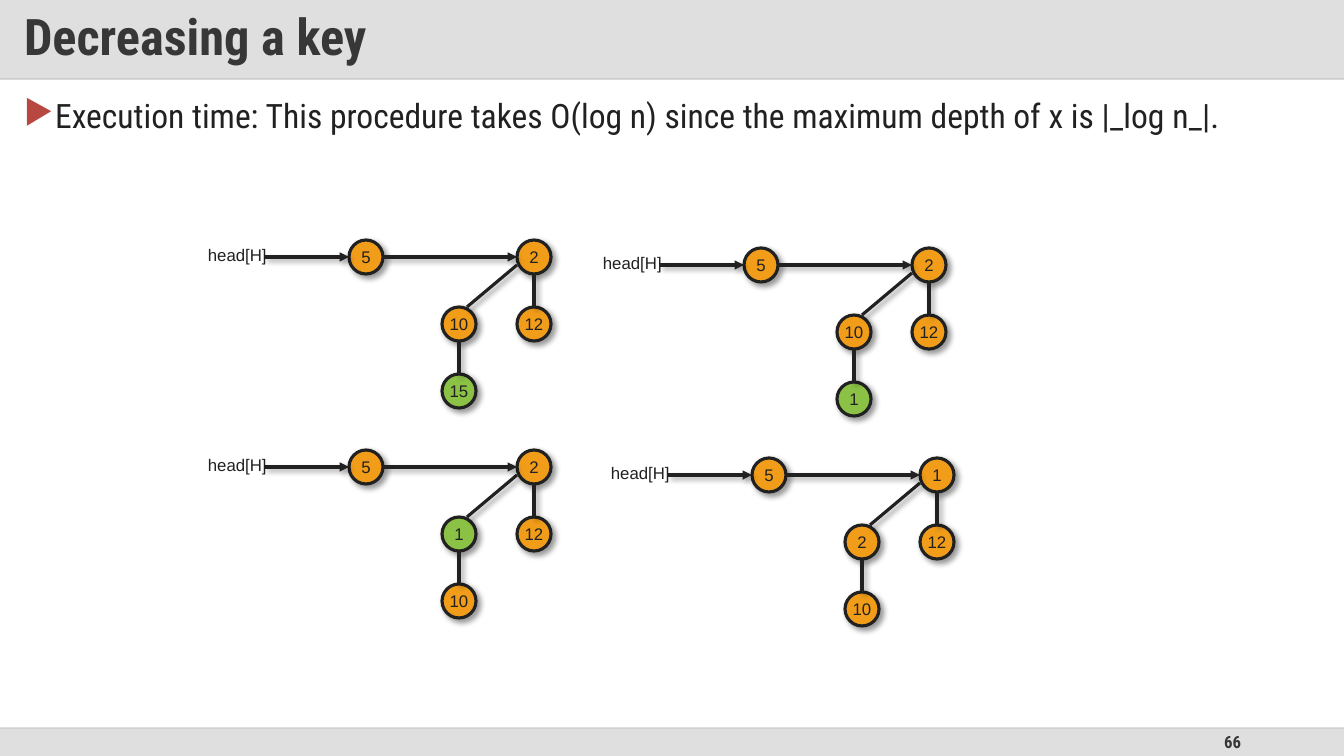
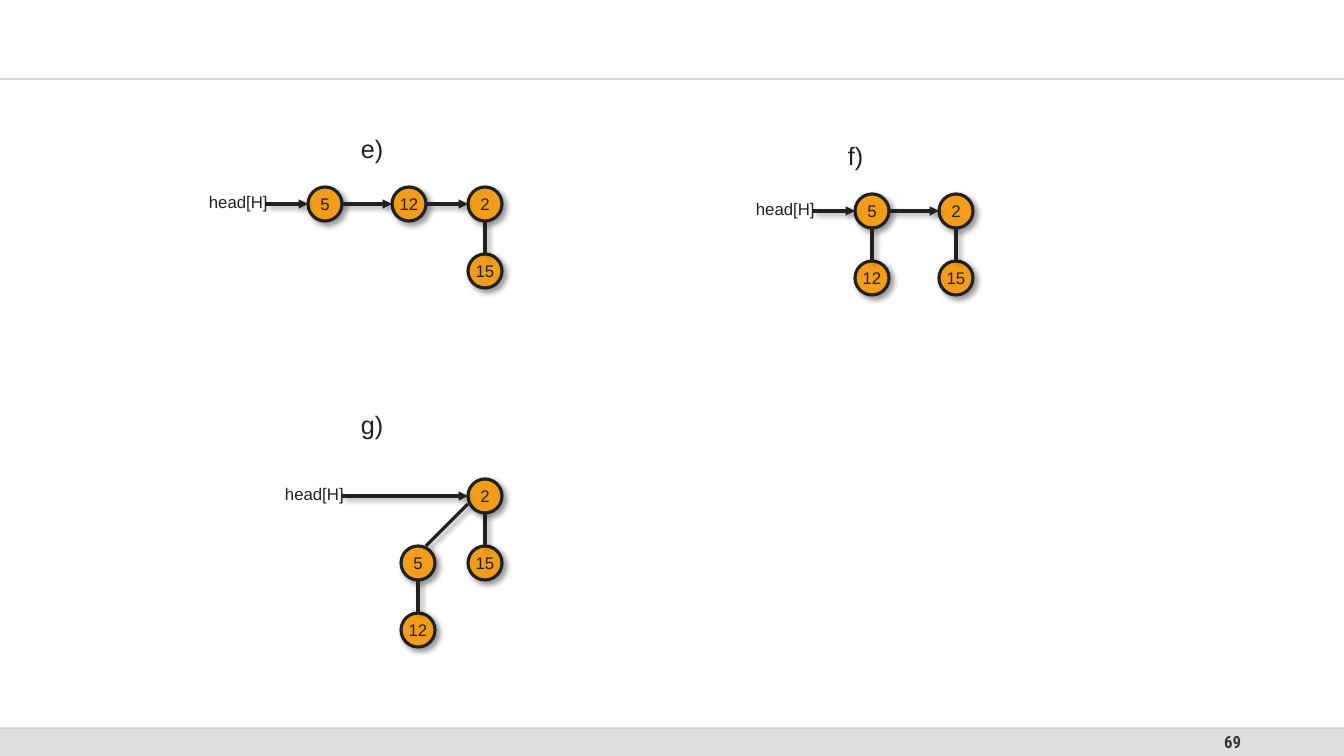
from dataclasses import dataclass

from lxml import etree
from pptx import Presentation
from pptx.dml.color import RGBColor
from pptx.enum.shapes import MSO_CONNECTOR, MSO_SHAPE
from pptx.enum.text import MSO_ANCHOR, PP_ALIGN
from pptx.oxml.ns import qn
from pptx.util import Emu, Pt

RECTANGLE, ELLIPSE = MSO_SHAPE.RECTANGLE, MSO_SHAPE.OVAL
STRAIGHT = MSO_CONNECTOR.STRAIGHT
MIDDLE, TOP = MSO_ANCHOR.MIDDLE, MSO_ANCHOR.TOP
LEFT, CENTER, RIGHT, JUSTIFY = PP_ALIGN.LEFT, PP_ALIGN.CENTER, PP_ALIGN.RIGHT, PP_ALIGN.JUSTIFY

EMU_PER_PX = 914400 / 100.8
PAGE_WIDTH, PAGE_HEIGHT = 1344, 756
TITLE_BOTTOM, FOOTER_TOP = 79, 728
NODE_SIZE, RADIUS = 34, 17
ROW_STEP = 67
HEAD_ARROW_START = 67
EDGE_OFFSET = 8


@dataclass(frozen=True)
class Theme:
    heading_font: str = "Roboto Condensed"
    diagram_font: str = "Arial"
    heading: str = "373737"
    ink: str = "212121"
    title_band: str = "C0C0C0"
    footer_band: str = "DFDFDF"
    title_rule: str = "D9D9D9"
    footer_rule: str = "BFBFBF"
    bullet: str = "B84742"
    node: str = "F19D19"
    marked_node: str = "8BC145"
    shadow: str = "000000"
    title_size: int = 36
    body_size: int = 24
    caption_size: int = 18
    small_size: int = 12
    rule_width: float = 1
    edge_width: float = 2.25


THEME = Theme()


@dataclass(frozen=True)
class Node:
    """A key; dx is measured from the head label for a root, else from the parent."""
    key: str
    dx: int = 0
    children: tuple = ()
    marked: bool = False


def px(value):
    return Emu(round(value * EMU_PER_PX))


def add_xml(parent, tag, **attributes):
    return etree.SubElement(parent, qn(tag), attributes)


def set_alpha(element, percent):
    """Make the first colour inside the element partly transparent."""
    add_xml(next(element.iter(qn("a:srgbClr"))), "a:alpha", val=str(percent * 1000))


def add_shadow(shape):
    effects = shape._element.spPr.find(qn("a:effectLst"))
    shadow = add_xml(effects, "a:outerShdw", blurRad=str(Pt(4)), dist=str(Pt(3)),
                     dir=str(45 * 60000), algn="tl", rotWithShape="0")
    add_xml(shadow, "a:srgbClr", val=THEME.shadow)
    set_alpha(shadow, 40)


def add_line(page, start, end, color, width):
    line = page.shapes.add_connector(STRAIGHT, *map(px, (*start, *end)))
    line.line.color.rgb = RGBColor.from_string(color)
    line.line.width = Pt(width)
    add_xml(line._element.spPr, "a:effectLst")
    return line


def add_edge(page, start, end, arrow=False):
    edge = add_line(page, start, end, THEME.ink, THEME.edge_width)
    add_shadow(edge)
    if arrow:
        add_xml(edge.line._get_or_add_ln(), "a:tailEnd", type="triangle")


def add_filled(page, kind, area, color):
    shape = page.shapes.add_shape(kind, *map(px, area))
    shape.shadow.inherit = False
    shape.fill.solid()
    shape.fill.fore_color.rgb = RGBColor.from_string(color)
    shape.line.fill.background()
    return shape


def write(shape, text, size, color=THEME.ink, font=THEME.diagram_font,
          bold=False, align=LEFT, anchor=TOP, wrap=True):
    frame = shape.text_frame
    frame.text = text
    frame.word_wrap = wrap
    frame.vertical_anchor = anchor
    para = frame.paragraphs[0]
    para.alignment = align
    span = para.runs[0].font
    span.name, span.size, span.bold = font, Pt(size), bold
    span.color.rgb = RGBColor.from_string(color)
    return para


def add_text(page, area, text, size, **style):
    box = page.shapes.add_textbox(*map(px, area))
    return write(box, text, size, **style)


def add_frame(page, number):
    """Draw the footer band, page number and rules found on every page."""
    footer_height = PAGE_HEIGHT - FOOTER_TOP
    add_filled(page, RECTANGLE, (0, FOOTER_TOP, PAGE_WIDTH, footer_height), THEME.footer_band)
    add_text(page, (949, FOOTER_TOP, 302, footer_height), str(number), THEME.small_size,
             color=THEME.heading, font=THEME.heading_font, bold=True, align=RIGHT, anchor=MIDDLE)
    add_line(page, (0, TITLE_BOTTOM), (PAGE_WIDTH, TITLE_BOTTOM),
             THEME.title_rule, THEME.rule_width)
    rule = add_line(page, (0, FOOTER_TOP), (PAGE_WIDTH, FOOTER_TOP),
                    THEME.footer_rule, THEME.rule_width)
    set_alpha(rule._element.spPr, 70)


def add_title(page, text):
    band = add_filled(page, RECTANGLE, (0, 0, PAGE_WIDTH, TITLE_BOTTOM), THEME.title_band)
    set_alpha(band._element.spPr, 50)
    frame = band.text_frame
    frame.margin_left = frame.margin_right = px(24)
    frame.margin_top = frame.margin_bottom = px(12)
    para = write(band, text, THEME.title_size, color=THEME.heading,
                 font=THEME.heading_font, bold=True, anchor=MIDDLE)
    para.line_spacing = 0.9


def add_bullet_text(page, area, text):
    para = add_text(page, area, text, THEME.body_size, font=THEME.heading_font, align=JUSTIFY)
    para.line_spacing = 0.9
    properties = para._p.get_or_add_pPr()
    properties.set("marL", str(px(29)))
    properties.set("indent", str(-px(29)))
    add_xml(add_xml(properties, "a:buClr"), "a:srgbClr", val=THEME.bullet)
    add_xml(properties, "a:buChar", char="▶")


def add_tree(page, node, x, y):
    """Draw a node centred at x, y and everything below it."""
    color = THEME.marked_node if node.marked else THEME.node
    circle = add_filled(page, ELLIPSE, (x - RADIUS, y - RADIUS, NODE_SIZE, NODE_SIZE), color)
    circle.line.color.rgb = RGBColor.from_string(THEME.ink)
    circle.line.width = Pt(THEME.edge_width)
    add_shadow(circle)
    write(circle, node.key, THEME.small_size, align=CENTER, anchor=MIDDLE, wrap=False)
    for child in node.children:
        child_x, child_y = x + child.dx, y + ROW_STEP
        add_tree(page, child, child_x, child_y)
        if child.dx:
            add_edge(page, (child_x + EDGE_OFFSET, child_y - RADIUS),
                     (x - RADIUS, y + EDGE_OFFSET))
        else:
            add_edge(page, (x, y + RADIUS), (x, child_y - RADIUS))


def add_heap(page, left, top, *roots):
    """Draw the head label and its linked list of root trees."""
    add_text(page, (left, top, 84, 30), "head[H]", THEME.small_size)
    y = top + RADIUS
    arrow_start = left + HEAD_ARROW_START
    for root in roots:
        x = left + root.dx
        add_tree(page, root, x, y)
        add_edge(page, (arrow_start, y), (x - RADIUS, y), arrow=True)
        arrow_start = x + RADIUS


def add_decrease_step(page, left, top, root, child, leaf, marked=None):
    """Draw one state of the heap; marked is the key being moved up."""
    leaf_node = Node(leaf, marked=leaf == marked)
    child_node = Node(child, -75, (leaf_node,), child == marked)
    add_heap(page, left, top, Node("5", 168), Node(root, 336, (child_node, Node("12"))))


def build_decrease_page(page):
    add_frame(page, 66)
    add_title(page, "Decreasing a key")
    add_bullet_text(page, (14, 95, 1315, 97),
                    "Execution time: This procedure takes O(log n) since the maximum "
                    "depth of x is |_log n_|.")
    add_decrease_step(page, 198, 240, "2", "10", "15", marked="15")
    add_decrease_step(page, 593, 248, "2", "10", "1", marked="1")
    add_decrease_step(page, 198, 450, "2", "1", "10", marked="1")
    add_decrease_step(page, 601, 458, "1", "2", "10")


def build_merge_page(page):
    add_frame(page, 69)
    two = Node("2", 210, (Node("15"),))
    add_heap(page, 199, 187, Node("5", 126), Node("12", 210), Node("2", 286, two.children))
    add_heap(page, 746, 194, Node("5", 126, (Node("12"),)), two)
    five = Node("5", -67, (Node("12"),))
    add_heap(page, 275, 479, Node("2", 210, (five, *two.children)))
    for left, top, caption in ((351, 128, "e)"), (838, 135, "f)"), (351, 404, "g)")):
        add_text(page, (left, top, 67, 40), caption, THEME.caption_size)


def main():
    deck = Presentation()
    deck.slide_width, deck.slide_height = px(PAGE_WIDTH), px(PAGE_HEIGHT)
    blank = deck.slide_layouts[6]
    for build in (build_decrease_page, build_merge_page):
        build(deck.slides.add_slide(blank))
    deck.save("out.pptx")


if __name__ == "__main__":
    main()
